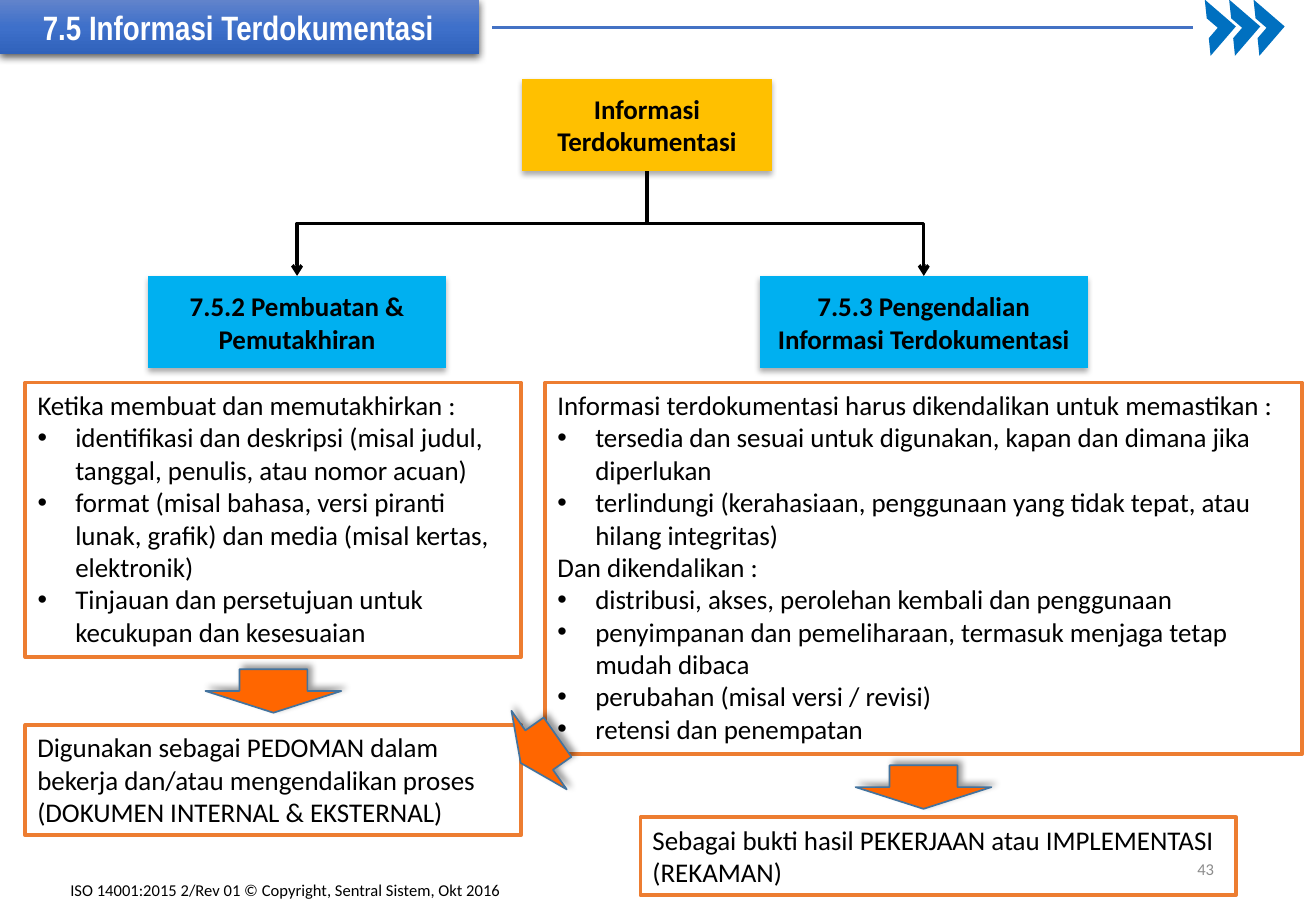
from dataclasses import dataclass
from typing import Optional

from lxml.etree import SubElement
from pptx import Presentation
from pptx.dml.color import RGBColor
from pptx.enum.shapes import MSO_CONNECTOR as Link, MSO_SHAPE as Preset
from pptx.enum.text import MSO_ANCHOR as Anchor, PP_ALIGN as Align
from pptx.oxml.ns import qn
from pptx.util import Cm, Pt


@dataclass
class Frame:
    left: float
    top: float
    width: float
    height: float

    def lengths(self) -> tuple:
        return Cm(self.left), Cm(self.top), Cm(self.width), Cm(self.height)


@dataclass
class Shadow:
    opacity: int
    blur: float
    distance: float
    angle: int


@dataclass
class TextStyle:
    size: float = 16
    color: str = "000000"
    bold: bool = False
    align: Align = Align.LEFT
    anchor: Anchor = Anchor.TOP
    font: str = "Calibri"


@dataclass
class Process:
    frame: Frame
    text: str
    fill: str


@dataclass
class Outlined:
    frame: Frame
    lines: list


@dataclass
class BlockArrow:
    frame: Frame
    rotation: float


BULLET = "•"
BULLET_INDENT = Cm(0.79)
TITLE_SHADOW = Shadow(63, 4.5, 1.5, 90)
PROCESS_SHADOW = Shadow(32, 3.5, 2.2, 90)
ARROW_SHADOW = Shadow(40, 4, 3, 315)
PROCESS_STYLE = TextStyle(bold=True, align=Align.CENTER, anchor=Anchor.MIDDLE)

ROOT = Process(Frame(10.92, 1.65, 5.21, 1.93), "Informasi Terdokumentasi", "FFC000")
BRANCHES = [
    Process(Frame(3.1, 5.77, 6.22, 1.93), "7.5.2 Pembuatan & Pemutakhiran", "00B0F0"),
    Process(Frame(15.88, 5.77, 6.86, 1.93),
            "7.5.3 Pengendalian Informasi Terdokumentasi", "00B0F0"),
]
LISTS = [
    Outlined(Frame(0.53, 8, 10.36, 5.74), [
        "Ketika membuat dan memutakhirkan :",
        "• identifikasi dan deskripsi (misal judul, tanggal, penulis, atau nomor acuan)",
        "• format (misal bahasa, versi piranti lunak, grafik) dan media (misal kertas, elektronik)",
        "• Tinjauan dan persetujuan untuk kecukupan dan kesesuaian",
    ]),
    Outlined(Frame(11.4, 8, 15.82, 7.77), [
        "Informasi terdokumentasi harus dikendalikan untuk memastikan :",
        "• tersedia dan sesuai untuk digunakan, kapan dan dimana jika diperlukan",
        "• terlindungi (kerahasiaan, penggunaan yang tidak tepat, atau hilang integritas)",
        "Dan dikendalikan :",
        "• distribusi, akses, perolehan kembali dan penggunaan",
        "• penyimpanan dan pemeliharaan, termasuk menjaga tetap mudah dibaca",
        "• perubahan (misal versi / revisi)",
        "• retensi dan penempatan",
    ]),
]
OUTCOMES = [
    Outlined(Frame(0.53, 15.16, 10.36, 2.31), [
        "Digunakan sebagai PEDOMAN dalam bekerja dan/atau mengendalikan proses",
        "(DOKUMEN INTERNAL & EKSTERNAL)",
    ]),
    Outlined(Frame(13.39, 17.09, 12.45, 1.63),
             ["Sebagai bukti hasil PEKERJAAN atau IMPLEMENTASI (REKAMAN)"]),
]
ARROWS = [
    BlockArrow(Frame(5.26, 13.03, 0.91, 2.84), 90),
    BlockArrow(Frame(18.85, 15.04, 0.91, 2.84), 90),
    BlockArrow(Frame(10.8, 14.68, 0.94, 2.01), 144.9),
]


def rgb(color: str) -> RGBColor:
    return RGBColor.from_string(color)


def place(shape, frame: Frame) -> None:
    shape.left, shape.top, shape.width, shape.height = frame.lengths()


def paint(shape, fill: Optional[str], line: Optional[str] = None, width: float = 1) -> None:
    if fill:
        shape.fill.solid()
        shape.fill.fore_color.rgb = rgb(fill)
    else:
        shape.fill.background()
    if line:
        shape.line.color.rgb = rgb(line)
        shape.line.width = Pt(width)
    else:
        shape.line.fill.background()


def cast(shape, shadow: Shadow) -> None:
    shape.shadow.inherit = False
    outer = SubElement(shape._element.spPr.find(qn("a:effectLst")), qn("a:outerShdw"),
                       blurRad=str(Pt(shadow.blur)), dist=str(Pt(shadow.distance)),
                       dir=str(shadow.angle * 60000), algn="ctr", rotWithShape="0")
    color = SubElement(outer, qn("a:srgbClr"), val="000000")
    SubElement(color, qn("a:alpha"), val=str(shadow.opacity * 1000))


def write(shape, lines: list, style: TextStyle) -> None:
    text_frame = shape.text_frame
    text_frame.word_wrap = True
    text_frame.vertical_anchor = style.anchor
    text_frame.text = "\n".join(line.removeprefix(BULLET).lstrip() for line in lines)
    for line, paragraph in zip(lines, text_frame.paragraphs):
        properties = paragraph._p.get_or_add_pPr()
        bulleted = line.startswith(BULLET)
        properties.set("marL", str(BULLET_INDENT if bulleted else 0))
        properties.set("indent", str(-BULLET_INDENT if bulleted else 0))
        if bulleted:
            SubElement(properties, qn("a:buFont"), typeface="Arial")
            SubElement(properties, qn("a:buChar"), char=BULLET)
        else:
            SubElement(properties, qn("a:buNone"))
        paragraph.alignment = style.align
        paragraph.space_before = Pt(0)
        for run in paragraph.runs:
            run.font.name = style.font
            run.font.size = Pt(style.size)
            run.font.bold = style.bold
            run.font.color.rgb = rgb(style.color)


def add_title(slide) -> None:
    title = slide.shapes.title
    place(title, Frame(0, 0, 10.01, 1.14))
    title.fill.gradient()
    title.fill.gradient_angle = 270
    stops = title._element.spPr.find(".//" + qn("a:gsLst"))
    stops.clear()
    for position, color in ((0, "6183CB"), (50, "3E70CA"), (100, "3062BB")):
        stop = SubElement(stops, qn("a:gs"), pos=str(position * 1000))
        SubElement(stop, qn("a:srgbClr"), val=color)
    cast(title, TITLE_SHADOW)
    write(title, ["7.5 Informasi Terdokumentasi"],
          TextStyle(20, "FFFFFF", True, anchor=Anchor.MIDDLE, font="Arial Narrow"))
    title.text_frame.paragraphs[0]._p.pPr.set("indent", str(Cm(0.64)))


def add_preset(slide, preset: Preset, frame: Frame, rotation: float = 0):
    shape = slide.shapes.add_shape(preset, *frame.lengths())
    shape.rotation = rotation
    shape.shadow.inherit = False
    return shape


def add_process(slide, process: Process) -> None:
    shape = add_preset(slide, Preset.FLOWCHART_PROCESS, process.frame)
    paint(shape, process.fill)
    cast(shape, PROCESS_SHADOW)
    write(shape, [process.text], PROCESS_STYLE)


def add_line(slide, kind: Link, ends: tuple, color: str, width: float):
    connector = slide.shapes.add_connector(kind, *map(Cm, ends))
    connector.line.color.rgb = rgb(color)
    connector.line.width = Pt(width)
    SubElement(connector._element.spPr, qn("a:effectLst"))
    return connector


def add_branch_link(slide, parent: Frame, child: Frame) -> None:
    start_x, end_x = (frame.left + frame.width / 2 for frame in (parent, child))
    start_y, end_y = parent.top + parent.height, child.top
    middle_x, middle_y = (start_x + end_x) / 2, (start_y + end_y) / 2
    half_drop, half_span = (end_y - start_y) / 2, abs(end_x - start_x) / 2
    side = 1 if end_x < start_x else -1
    connector = add_line(slide, Link.ELBOW, (
        middle_x - side * half_drop, middle_y - half_span,
        middle_x + side * half_drop, middle_y + half_span), "000000", 2)
    connector._element.spPr.xfrm.set("rot", str((180 - side * 90) * 60000))
    SubElement(connector.line._get_or_add_ln(), qn("a:tailEnd"), type="arrow")


def add_note(slide, frame: Frame, text: str, style: TextStyle) -> None:
    write(slide.shapes.add_textbox(*frame.lengths()), [text], style)


def main() -> None:
    presentation = Presentation()
    presentation.slide_width, presentation.slide_height = Cm(27.51), Cm(19.05)
    slide = presentation.slides.add_slide(presentation.slide_layouts[3])
    add_title(slide)
    for index in range(3):
        chevron = add_preset(slide, Preset.HALF_FRAME,
                             Frame(24.84 + 0.51 * index, 0.15, 0.81, 0.86), 130.8)
        paint(chevron, "0070C0")
    add_line(slide, Link.STRAIGHT, (10.29, 0.58, 24.94, 0.58), "4472C4", 1.5)
    for process in [ROOT, *BRANCHES]:
        add_process(slide, process)
    for branch in BRANCHES:
        add_branch_link(slide, ROOT.frame, branch.frame)
    bodies = [slide.placeholders[index] for index in (1, 2)]
    boxes = [add_preset(slide, Preset.RECTANGLE, outcome.frame) for outcome in OUTCOMES]
    for shape, content in zip(bodies + boxes, LISTS + OUTCOMES):
        place(shape, content.frame)
        paint(shape, None, "ED7D31", 2.25)
        write(shape, content.lines, TextStyle())
    for arrow in ARROWS:
        shape = add_preset(slide, Preset.RIGHT_ARROW, arrow.frame, arrow.rotation)
        paint(shape, "FF6600", "43739E")
        cast(shape, ARROW_SHADOW)
    add_note(slide, Frame(1.22, 18.36, 14.68, 0.48),
             "ISO 14001:2015 2/Rev 01 © Copyright, Sentral Sistem, Okt 2016",
             TextStyle(9.8, anchor=Anchor.MIDDLE))
    add_note(slide, Frame(19.43, 17.65, 6.2, 1.02), "43",
             TextStyle(9.8, "8C8C8C", align=Align.RIGHT, anchor=Anchor.MIDDLE))
    presentation.save("out.pptx")


if __name__ == "__main__":
    main()
